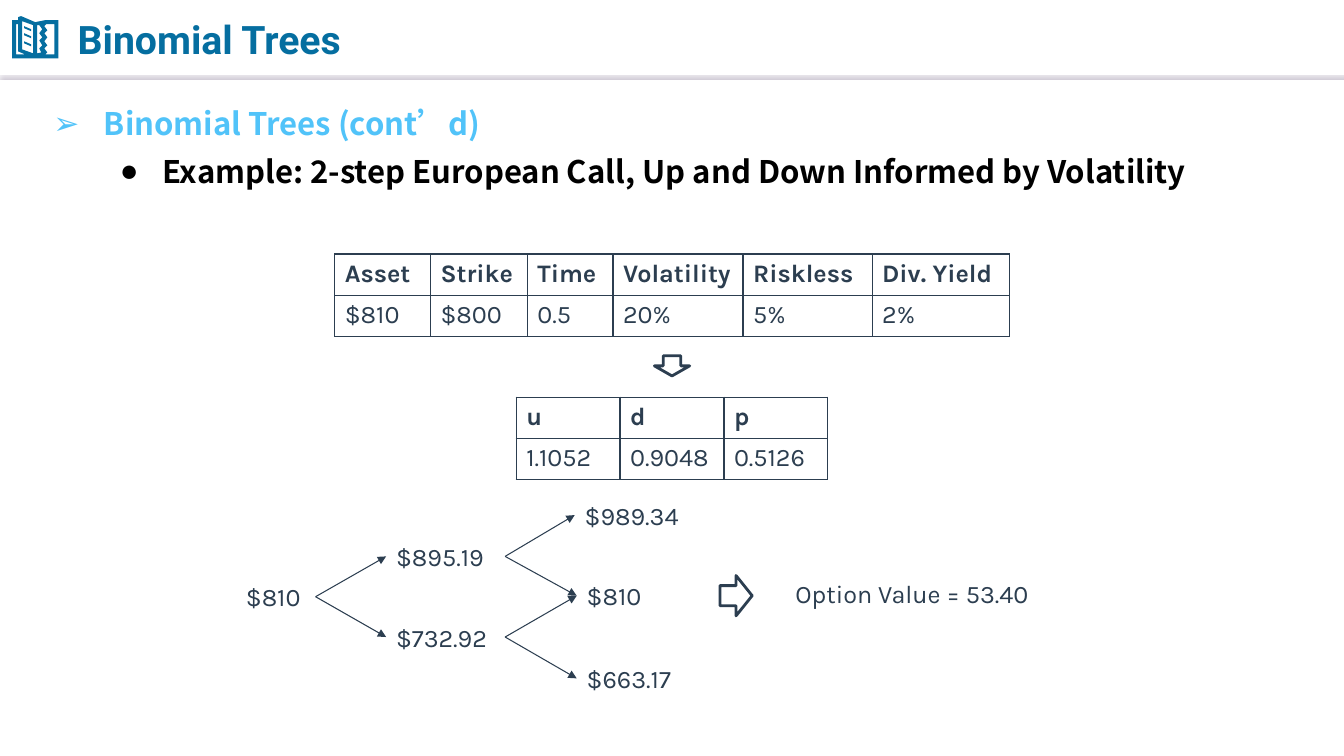
import pptx
import pptx.util
import pptx.dml.color
import pptx.enum.shapes
import pptx.enum.text
import pptx.oxml
import pptx.oxml.ns
from pptx.util import Inches

RGBColor = pptx.dml.color.RGBColor
HEADER_BLUE = RGBColor(0x05, 0x6E, 0xA0)
SKY_BLUE = RGBColor(0x51, 0xC3, 0xF9)
SLATE = RGBColor(0x2C, 0x3E, 0x50)
BLACK = RGBColor(0, 0, 0)
WHITE = RGBColor(0xFF, 0xFF, 0xFF)
RULE_SHADOW = RGBColor(0xBC, 0xB4, 0xC4)

TITLE_FONT = "Roboto"
LIST_FONT = "Noto Sans CJK SC"
BODY_FONT = "Karla"
SHAPES = pptx.enum.shapes.MSO_SHAPE
STRAIGHT = pptx.enum.shapes.MSO_CONNECTOR.STRAIGHT
ANCHOR = pptx.enum.text.MSO_ANCHOR
FIT = pptx.enum.text.MSO_AUTO_SIZE
LEFT = pptx.enum.text.PP_ALIGN.LEFT

# Contours of the open book, in hundredths of an inch
BOOK_CONTOURS = [
    [(12, 20), (18, 20), (18, 17), (21, 16), (35, 22), (45, 20), (58, 20), (58, 58), (12, 58)],
    [(16, 24), (16, 54), (25, 54), (18, 51), (18, 24)],
    [(22, 21), (22, 49), (33, 53), (33, 25)],
    [(37, 25), (37, 53), (41, 52), (39, 48), (42, 45), (39, 40), (42, 37),
     (39, 33), (42, 29), (39, 25)],
    [(46, 24), (44, 26), (47, 30), (44, 33), (47, 37), (44, 41), (47, 45),
     (44, 48), (47, 52), (45, 54), (54, 54), (54, 24)],
] + [[(24, y), (31, y + 3), (31, y + 5), (24, y + 2)] for y in (26, 33, 41)]


def add_xml(parent, markup):
    """Append a DrawingML element and return it."""
    tag, rest = markup.split(" ", 1)
    namespace = pptx.oxml.ns.nsdecls("a")
    element = pptx.oxml.parse_xml(f"<a:{tag} {namespace} {rest}")
    parent.append(element)
    return element


def add_span(para, text, size, font, color, bold=False):
    span = para.add_run()
    span.text = text
    span.font.size = pptx.util.Pt(size)
    span.font.name = font
    span.font.bold = bold
    span.font.color.rgb = color
    return span


def place(shape, left, top, width, height):
    shape.left, shape.top = Inches(left), Inches(top)
    shape.width, shape.height = Inches(width), Inches(height)


def add_line(shapes, start, end, color, effects=""):
    line = shapes.add_connector(STRAIGHT, *start, *end)
    line.line.color.rgb = color
    line.line.width = pptx.util.Pt(0.75)
    add_xml(line._element.spPr, f"effectLst >{effects}</a:effectLst>")
    return line


def add_header(page):
    shadow = ('<a:outerShdw blurRad="12700" dist="38100" dir="5400000" algn="t" '
              f'rotWithShape="0"><a:srgbClr val="{RULE_SHADOW}"/></a:outerShdw>')
    add_line(page.shapes, (0, Inches(0.73)), (Inches(13.33), Inches(0.73)), WHITE, shadow)

    builder = page.shapes.build_freeform(*BOOK_CONTOURS[0][0], scale=Inches(0.01))
    for contour in BOOK_CONTOURS:
        builder.move_to(*contour[0])
        builder.add_line_segments(contour[1:], close=True)
    book = builder.convert_to_shape()
    book.shadow.inherit = False
    book.fill.solid()
    book.fill.fore_color.rgb = HEADER_BLUE
    book.line.fill.background()

    title = page.shapes.title
    place(title, 0.67, 0.07, 7.36, 0.63)
    title.text_frame.vertical_anchor = ANCHOR.MIDDLE
    title.text_frame.auto_size = FIT.NONE
    para = title.text_frame.paragraphs[0]
    para.alignment = LEFT
    add_span(para, "Binomial Trees", 28, TITLE_FONT, HEADER_BLUE, True)


def add_list(page, items):
    body = page.placeholders[1]
    place(body, 0.43, 0.89, 12.47, 1.44)
    frame = body.text_frame
    frame.auto_size = FIT.NONE
    frame.vertical_anchor = ANCHOR.TOP
    for level, (text, color, bullet, margin, hanging) in enumerate(items):
        para = frame.add_paragraph() if level else frame.paragraphs[0]
        para.level = level
        para.alignment = LEFT
        para.line_spacing = 1.27
        para.space_before = para.space_after = pptx.util.Pt(0)
        props = para._p.get_or_add_pPr()
        props.set("marL", str(Inches(margin)))
        props.set("indent", str(-Inches(hanging)))
        add_xml(props, 'buFont typeface="Arial"/>')
        add_xml(props, f'buChar char="{bullet}"/>')
        span = add_span(para, text, 22.2, LIST_FONT, color, True)
        add_xml(span._r.get_or_add_rPr(), f'ea typeface="{LIST_FONT}"/>')


def add_grid(page, left, top, widths, rows):
    row_height = 0.41
    frame = page.shapes.add_table(len(rows), len(widths), Inches(left), Inches(top),
                                  Inches(sum(widths)), Inches(row_height * len(rows)))
    table = frame.table
    table.first_row = table.horz_banding = False
    for column, width in zip(table.columns, widths):
        column.width = Inches(width)
    for r, texts in enumerate(rows):
        table.rows[r].height = Inches(row_height)
        for c, text in enumerate(texts):
            cell = table.cell(r, c)
            add_span(cell.text_frame.paragraphs[0], text, 18, BODY_FONT, SLATE, r == 0)
            props = cell._tc.get_or_add_tcPr()
            for side in "LRTB":
                add_xml(props, f'ln{side} w="12700"><a:solidFill><a:srgbClr val="{SLATE}"/>'
                               f"</a:solidFill></a:ln{side}>")
            cell.fill.background()


def add_label(shapes, text, left, top, width, wrap=True):
    box = shapes.add_textbox(Inches(left), Inches(top), Inches(width), Inches(0.4))
    box.text_frame.word_wrap = wrap
    box.text_frame.auto_size = FIT.SHAPE_TO_FIT_TEXT
    add_span(box.text_frame.paragraphs[0], text, 18, BODY_FONT, SLATE)
    return box


def add_branch(shapes, source, target):
    start = (source.left + source.width, source.top + source.height // 2)
    end = (target.left, target.top + target.height // 2)
    branch = add_line(shapes, start, end, SLATE)
    branch.begin_connect(source, 3)
    branch.end_connect(target, 1)
    add_xml(branch.line._get_or_add_ln(), 'tailEnd type="triangle"/>')


def add_tree(page):
    shapes = page.shapes.add_group_shape().shapes
    root = add_label(shapes, "$810", 2.34, 5.72, 0.79)
    up = add_label(shapes, "$895.19", 3.83, 5.32, 1.18)
    up_up = add_label(shapes, "$989.34", 5.7, 4.91, 1.18)
    down = add_label(shapes, "$732.92", 3.83, 6.12, 1.18)
    middle = add_label(shapes, "$810", 5.72, 5.71, 1.18)
    down_down = add_label(shapes, "$663.17", 5.72, 6.53, 1.18)
    for source, targets in ((root, (up, down)), (up, (up_up, middle)),
                            (down, (middle, down_down))):
        for target in targets:
            add_branch(shapes, source, target)


def add_block_arrow(page, kind, left, top, width, height):
    arrow = page.shapes.add_shape(kind, Inches(left), Inches(top),
                                  Inches(width), Inches(height))
    arrow.shadow.inherit = False
    arrow.fill.background()
    arrow.line.color.rgb = SLATE
    arrow.line.width = pptx.util.Pt(2)


def main():
    deck = pptx.Presentation()
    deck.slide_width, deck.slide_height = Inches(13.33), Inches(7.5)
    page = deck.slides.add_slide(deck.slide_layouts[1])

    # Header and list
    add_header(page)
    add_list(page, [
        ("Binomial Trees (cont’d)", SKY_BLUE, "➢", 0.5, 0.5),
        ("Example: 2-step European Call, Up and Down Informed by Volatility",
         BLACK, "●", 1.08, 0.42),
    ])

    # Inputs and derived parameters
    add_grid(page, 3.32, 2.52, [0.95, 0.96, 0.85, 1.29, 1.28, 1.36], [
        ["Asset", "Strike", "Time", "Volatility", "Riskless", "Div. Yield"],
        ["$810", "$800", "0.5", "20%", "5%", "2%"],
    ])
    add_grid(page, 5.12, 3.94, [1.03] * 3, [
        ["u", "d", "p"],
        ["1.1052", "0.9048", "0.5126"],
    ])

    # Price tree and result
    add_tree(page)
    add_block_arrow(page, SHAPES.DOWN_ARROW, 6.49, 3.53, 0.35, 0.2)
    add_block_arrow(page, SHAPES.RIGHT_ARROW, 7.14, 5.71, 0.32, 0.4)
    add_label(page.shapes, "Option Value = 53.40", 7.79, 5.69, 2.56, wrap=False)

    deck.save("out.pptx")


if __name__ == "__main__":
    main()
